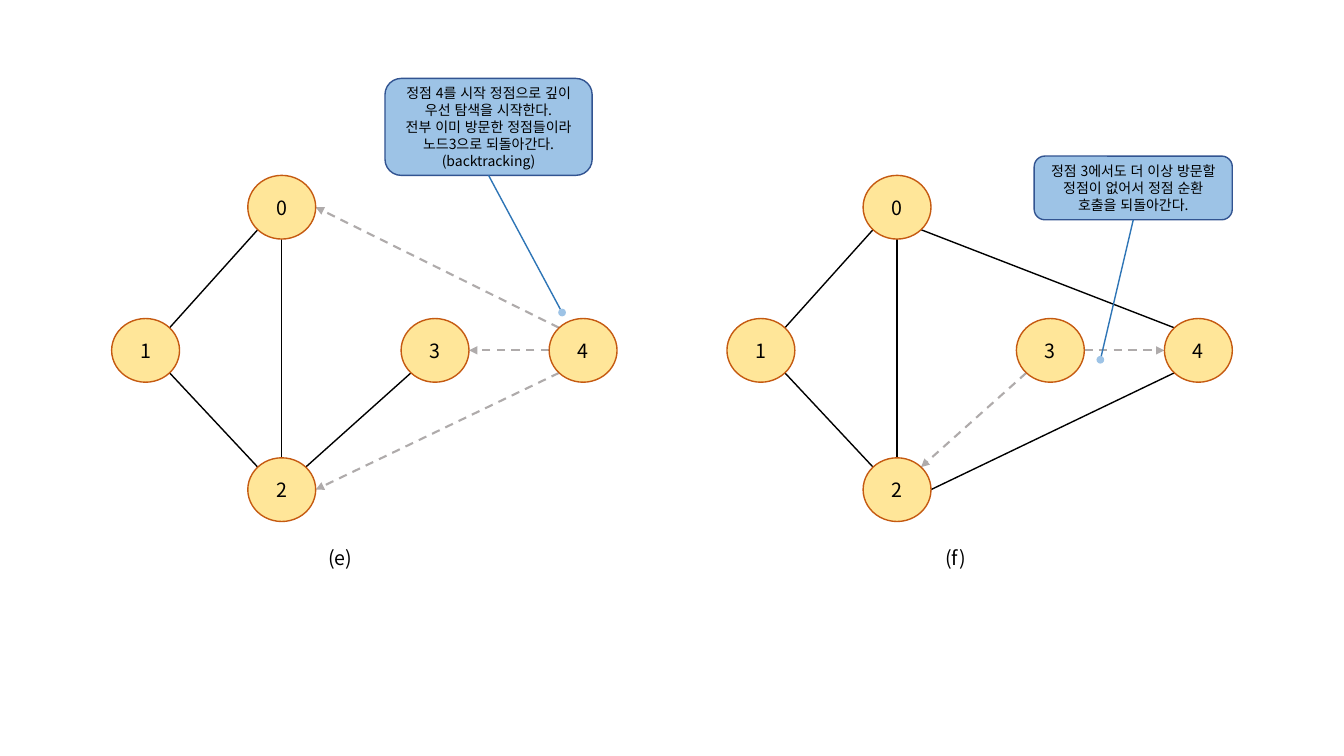
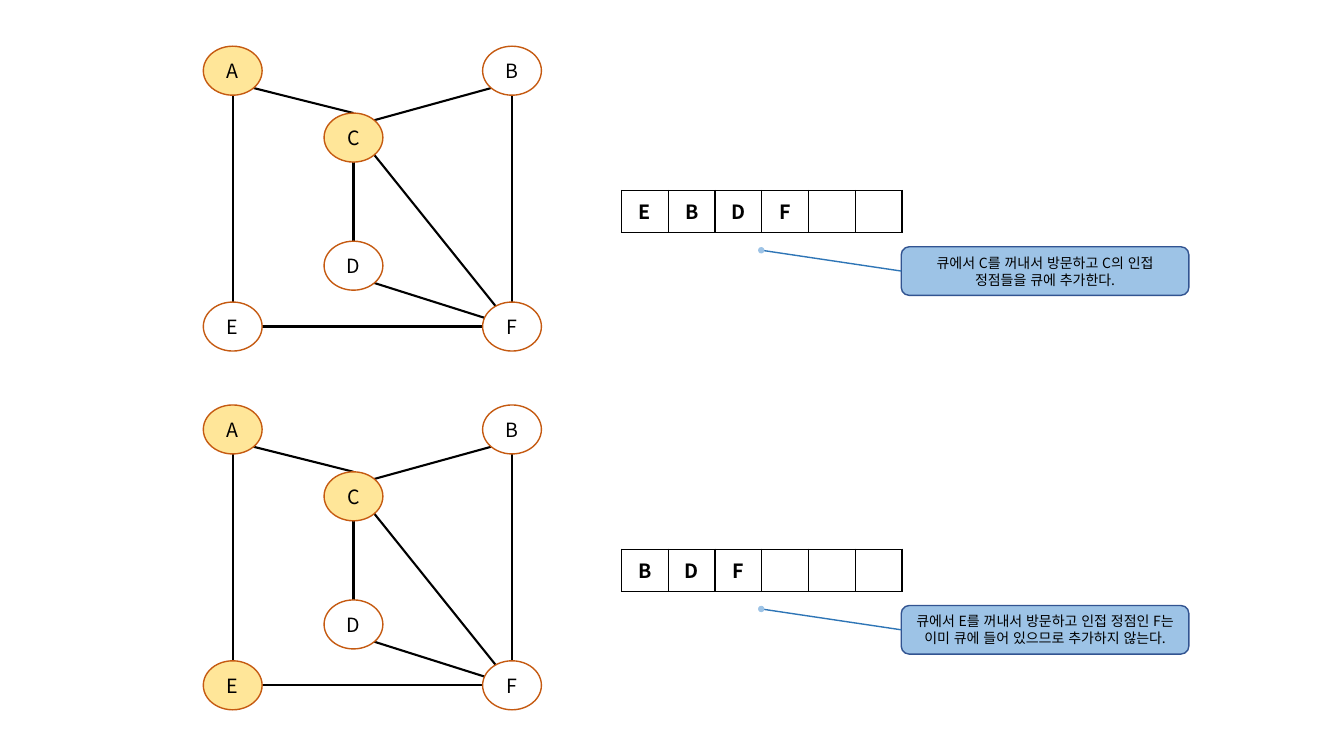
from math import sqrt

from lxml.etree import SubElement
from pptx import Presentation
from pptx.dml.color import RGBColor
from pptx.enum.dml import MSO_LINE_DASH_STYLE as DASH
from pptx.enum.lang import MSO_LANGUAGE_ID as LANG
from pptx.enum.shapes import MSO_CONNECTOR as CONNECTOR, MSO_SHAPE as SHAPE
from pptx.enum.text import MSO_ANCHOR as ANCHOR, MSO_AUTO_SIZE as AUTO_SIZE, PP_ALIGN as ALIGN
from pptx.oxml.ns import qn
from pptx.util import Pt

FONT = "Noto Sans CJK KR"
BLACK = RGBColor(0x00, 0x00, 0x00)
WHITE = RGBColor(0xFF, 0xFF, 0xFF)
VISITED = RGBColor(0xFF, 0xE6, 0x99)
NODE_LINE = RGBColor(0xC5, 0x5A, 0x11)
CALLOUT = RGBColor(0x9D, 0xC3, 0xE6)
CALLOUT_LINE = RGBColor(0x32, 0x54, 0x91)
LEADER = RGBColor(0x2E, 0x75, 0xB6)
GRAY = RGBColor(0xAF, 0xAB, 0xAB)

DIAGONAL = 1 / sqrt(2)
PORTS = {
    "mid": (0, 0), "N": (0, -1), "S": (0, 1), "W": (-1, 0), "E": (1, 0),
    "NW": (-DIAGONAL, -DIAGONAL), "NE": (DIAGONAL, -DIAGONAL),
    "SW": (-DIAGONAL, DIAGONAL), "SE": (DIAGONAL, DIAGONAL),
}

# Depth-first graph: node centres, size and edges as (node, port, node, port)
DFS_NODES = {"0": (201.25, 148), "1": (104, 250.25), "2": (201.25, 349.75),
             "3": (310.75, 250.25), "4": (416.5, 250.25)}
DFS_SIZE = (48.5, 45.5)
DFS_EDGES = [("0", "S", "2", "N"), ("0", "SW", "1", "NE"), ("1", "SE", "2", "NW")]
DFS_STEP = 439.5

# Breadth-first graph
BFS_NODES = {"A": (166.25, 50.5), "B": (365.75, 50.5), "C": (252.5, 98.25),
             "D": (252.5, 189.75), "E": (166.25, 233.25), "F": (365.75, 233.25)}
BFS_SIZE = (42, 35)
BFS_EDGES = [("A", "S", "E", "N"), ("A", "SE", "C", "N"), ("B", "SW", "C", "NE"),
             ("B", "S", "F", "N"), ("C", "S", "D", "N"), ("C", "SE", "F", "mid"),
             ("D", "SE", "F", "mid"), ("E", "E", "F", "W")]
BFS_STEP = 256.25
QUEUE_SLOTS = 6


def write(tf, text, size=14, bold=False):
    for i, line in enumerate(text.split("\n")):
        p = tf.paragraphs[0] if i == 0 else tf.add_paragraph()
        p.alignment = ALIGN.CENTER
        r = p.add_run()
        r.text = line
        font = r.font
        font.size, font.bold, font.name = Pt(size), bold, FONT
        font.color.rgb = BLACK
        font.language_id = LANG.KOREAN
        SubElement(r._r.get_or_add_rPr(), qn("a:ea"), typeface=FONT)


def add_box(s, shape, box, fill, line=None, text=None, size=14):
    sp = s.shapes.add_shape(shape, *map(Pt, box))
    sp.shadow.inherit = False
    sp.fill.solid()
    sp.fill.fore_color.rgb = fill
    if line is None:
        sp.line.fill.background()
    else:
        sp.line.color.rgb = line
        sp.line.width = Pt(1)
    if text:
        sp.text_frame.word_wrap = True
        sp.text_frame.vertical_anchor = ANCHOR.MIDDLE
        write(sp.text_frame, text, size)


def add_line(s, start, end, color=BLACK, width=1, arrow=False):
    """Draw a straight line; an arrow is dashed and has a head at its end."""
    cxn = s.shapes.add_connector(CONNECTOR.STRAIGHT, *map(Pt, (*start, *end)))
    cxn.line.color.rgb = color
    cxn.line.width = Pt(width)
    if arrow:
        cxn.line.dash_style = DASH.DASH
        SubElement(cxn.line._get_or_add_ln(), qn("a:tailEnd"), type="triangle")
    SubElement(cxn._element.spPr, qn("a:effectLst"))


def add_graph(s, nodes, size, edges, offset, visited, width=1, arrows=()):
    """Draw edges and arrows between ports, then the nodes on top of them."""
    w, h = size
    centers = {name: (x + offset[0], y + offset[1]) for name, (x, y) in nodes.items()}

    def port(name, side):
        (x, y), (dx, dy) = centers[name], PORTS[side]
        return x + dx * w / 2, y + dy * h / 2

    for a, a_side, b, b_side in edges:
        add_line(s, port(a, a_side), port(b, b_side), width=width)
    for a, a_side, b, b_side in arrows:
        add_line(s, port(a, a_side), port(b, b_side), GRAY, 1.5, arrow=True)
    for name, (x, y) in centers.items():
        fill = VISITED if name in visited else WHITE
        add_box(s, SHAPE.OVAL, (x - w / 2, y - h / 2, w, h), fill, NODE_LINE, name)


def add_callout(s, box, text, side, target, dot):
    """Draw a note whose leader runs from one side to a dot at the target."""
    left, top, w, h = box
    dx, dy = PORTS[side]
    x, y = target
    add_box(s, SHAPE.ROUNDED_RECTANGLE, box, CALLOUT, CALLOUT_LINE, text, 10)
    add_line(s, target, (left + w * (1 + dx) / 2, top + h * (1 + dy) / 2), LEADER)
    add_box(s, SHAPE.OVAL, (x - dot / 2, y - dot / 2, dot, dot), CALLOUT)


def add_caption(s, text, center, top):
    w = 215
    tf = s.shapes.add_textbox(Pt(center - w / 2), Pt(top), Pt(w), Pt(24.5)).text_frame
    tf.word_wrap = True
    tf.auto_size = AUTO_SIZE.SHAPE_TO_FIT_TEXT
    write(tf, text)


def add_borders(cell):
    tc_pr = cell._tc.get_or_add_tcPr()
    for edge in ("lnL", "lnR", "lnT", "lnB"):
        ln = SubElement(tc_pr, qn(f"a:{edge}"), w=str(Pt(1)))
        fill = SubElement(ln, qn("a:solidFill"))
        SubElement(fill, qn("a:srgbClr"), val=str(BLACK))


def add_queue(s, items, left, top):
    w, h = 200.4, 30
    table = s.shapes.add_table(1, QUEUE_SLOTS, Pt(left), Pt(top), Pt(w), Pt(h)).table
    table.first_row = table.horz_banding = False
    for column in table.columns:
        column.width = Pt(w / QUEUE_SLOTS)
    for i, cell in enumerate(table.iter_cells()):
        cell.margin_top = cell.margin_bottom = 0
        cell.vertical_anchor = ANCHOR.MIDDLE
        add_borders(cell)
        cell.fill.solid()
        cell.fill.fore_color.rgb = WHITE
        if i < len(items):
            write(cell.text_frame, items[i], bold=True)


def add_depth_first_slide(prs):
    s = prs.slides.add_slide(prs.slide_layouts[6])
    steps = [
        ("(e)", [("2", "NE", "3", "SW")],
         [("4", "W", "3", "E"), ("4", "NW", "0", "E"), ("4", "SW", "2", "E")]),
        ("(f)", [("0", "SE", "4", "NW"), ("2", "E", "4", "SW")],
         [("3", "E", "4", "W"), ("3", "SW", "2", "NE")]),
    ]
    for i, (caption, edges, arrows) in enumerate(steps):
        x = i * DFS_STEP
        add_graph(s, DFS_NODES, DFS_SIZE, DFS_EDGES + edges, (x, 0), DFS_NODES, arrows=arrows)
        add_caption(s, caption, 243 + x, 386.5)
    add_callout(s, (275, 56, 148, 69.25),
                "정점 4를 시작 정점으로 깊이 우선 탐색을 시작한다.\n"
                "전부 이미 방문한 정점들이라 노드3으로 되돌아간다.\n(backtracking)",
                "S", (401.5, 223.25), 5.5)
    add_callout(s, (738.75, 111.5, 141.5, 45.5),
                "정점 3에서도 더 이상 방문할 정점이 없어서 정점 순환 호출을 되돌아간다.",
                "S", (786, 257), 5.5)


def add_breadth_first_slide(prs):
    s = prs.slides.add_slide(prs.slide_layouts[6])
    steps = [
        ("AC", "EBDF", "큐에서 C를 꺼내서 방문하고 C의 인접 정점들을 큐에 추가한다."),
        ("ACE", "BDF",
         "큐에서 E를 꺼내서 방문하고 인접 정점인 F는 이미 큐에 들어 있으므로 추가하지 않는다."),
    ]
    for i, (visited, queue, note) in enumerate(steps):
        y = i * BFS_STEP
        add_graph(s, BFS_NODES, BFS_SIZE, BFS_EDGES, (0, y), visited, width=1.5)
        add_queue(s, queue, 444, 136 + y)
        add_callout(s, (643.75, 176.25, 205.5, 34.75), note, "W", (543.75, 178.75), 4.5)if i == 0 else \
            add_callout(s, (643.75, 176.25 + y, 205.5, 34.75), note, "W", (543.75, 178.75 + y), 4.5)


def main():
    prs = Presentation()
    prs.slide_width, prs.slide_height = Pt(960), Pt(540)
    add_depth_first_slide(prs)
    add_breadth_first_slide(prs)
    prs.save("out.pptx")


if __name__ == "__main__":
    main()
